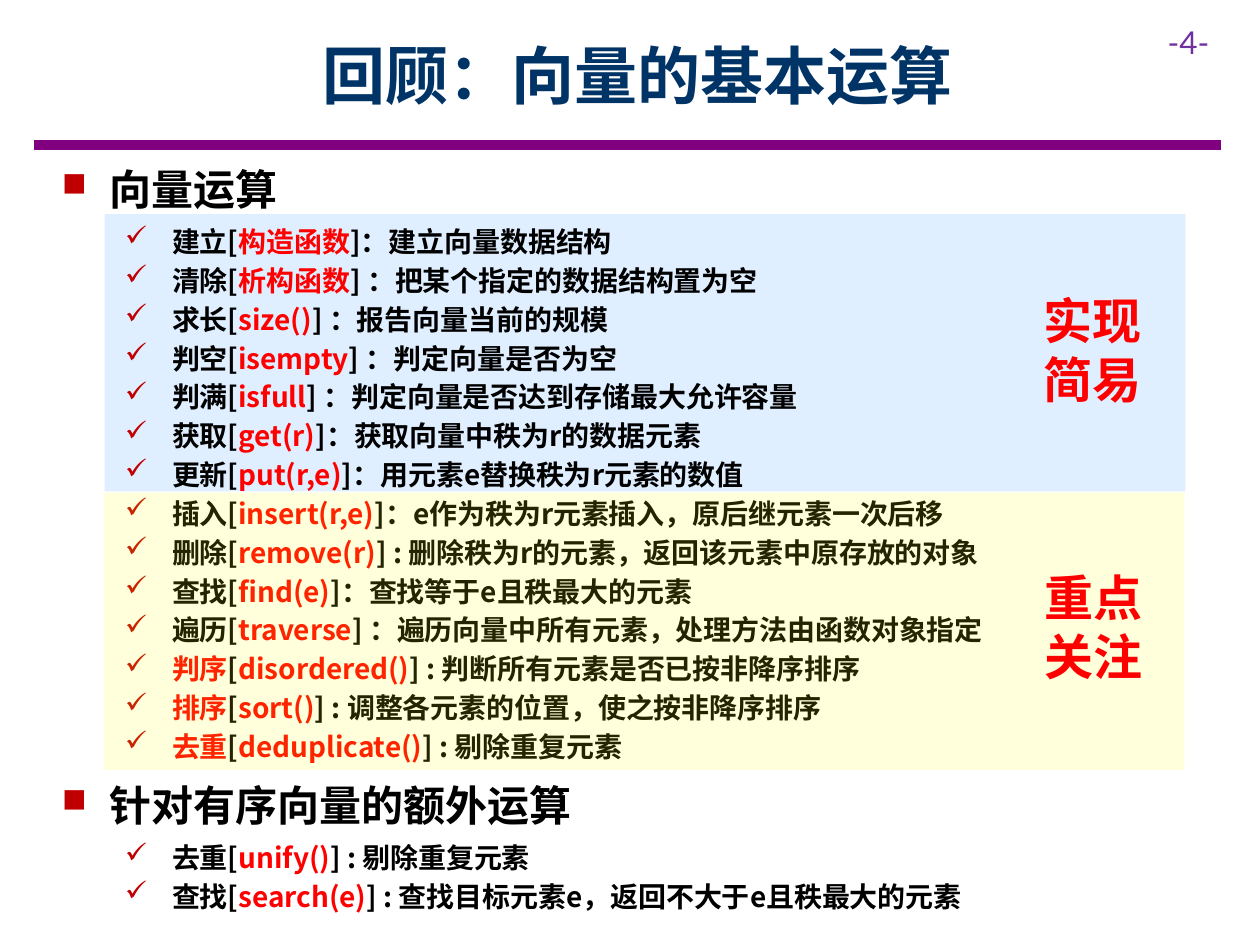
"""Build the review slide on basic vector operations."""
from dataclasses import dataclass

from lxml.etree import SubElement
from pptx import Presentation
from pptx.dml.color import RGBColor
from pptx.enum.shapes import MSO_CONNECTOR, MSO_SHAPE
from pptx.enum.text import MSO_ANCHOR, PP_ALIGN
from pptx.oxml.ns import qn
from pptx.util import Cm, Pt

COLORS = {
    "title": "003366", "rule": "800080", "page": "7030A0", "bullet": "C00000",
    "text": "000000", "hot": "FF0000", "easy": "99CCFF", "focus": "FFFF00",
    "white": "FFFFFF",
}
CJK, LATIN = "Noto Sans CJK SC", "Lato"


@dataclass
class Box:
    left: float
    top: float
    width: float
    height: float

    def emu(self) -> tuple:
        """Return the four lengths."""
        return Cm(self.left), Cm(self.top), Cm(self.width), Cm(self.height)


@dataclass
class Operation:
    name: str
    call: str
    note: str
    hot: bool = False


@dataclass
class Section:
    heading: str
    box: Box
    operations: list


@dataclass
class Band:
    box: Box
    color: str
    alpha: int


@dataclass
class Label:
    text: str
    box: Box


VECTOR = Section("向量运算", Box(1, 3.12, 24.4, 12.47), [
    Operation("建立", "构造函数", "]：建立向量数据结构"),
    Operation("清除", "析构函数", "] ：把某个指定的数据结构置为空"),
    Operation("求长", "size()", "] ：报告向量当前的规模"),
    Operation("判空", "isempty", "] ：判定向量是否为空"),
    Operation("判满", "isfull", "] ：判定向量是否达到存储最大允许容量"),
    Operation("获取", "get(r)", "]：获取向量中秩为r的数据元素"),
    Operation("更新", "put(r,e)", "]：用元素e替换秩为r元素的数值"),
    Operation("插入", "insert(r,e)", "]：e作为秩为r元素插入，原后继元素一次后移"),
    Operation("删除", "remove(r)", "] : 删除秩为r的元素，返回该元素中原存放的对象"),
    Operation("查找", "find(e)", "]：查找等于e且秩最大的元素"),
    Operation("遍历", "traverse", "] ：遍历向量中所有元素，处理方法由函数对象指定"),
    Operation("判序", "disordered()", "] : 判断所有元素是否已按非降序排序", True),
    Operation("排序", "sort()", "] : 调整各元素的位置，使之按非降序排序", True),
    Operation("去重", "deduplicate()", "] : 剔除重复元素", True),
])
ORDERED = Section("针对有序向量的额外运算", Box(1, 15.54, 24.4, 2.97), [
    Operation("去重", "unify()", "] : 剔除重复元素"),
    Operation("查找", "search(e)", "] : 查找目标元素e，返回不大于e且秩最大的元素"),
])
EASY = Band(Box(2.11, 4.32, 21.79, 5.59), "easy", 30)
FOCUS = Band(Box(2.09, 9.93, 21.79, 5.59), "focus", 14)
LABELS = [
    Label("实现简易", Box(20.78, 5.66, 2.59, 2.64)),
    Label("重点关注", Box(20.8, 11.25, 2.59, 2.64)),
]


def rgb(name: str) -> RGBColor:
    """Look up a colour."""
    return RGBColor.from_string(COLORS[name])


def add_run(p, text: str, size: float, color: str = "text",
            font: str = CJK, bold: bool = True) -> None:
    """Append one formatted run."""
    r = p.add_run()
    r.text = text
    r.font.size, r.font.bold, r.font.name = Pt(size), bold, font
    r.font.color.rgb = rgb(color)
    SubElement(r.font._element, qn("a:ea")).set("typeface", font)


def add_box(s, box: Box):
    """Add a wrapping text box and return its shape."""
    sp = s.shapes.add_textbox(*box.emu())
    sp.text_frame.word_wrap = True
    return sp


def set_bullet(p, char: str, indent: float, percent: int) -> None:
    """Give a paragraph a hanging symbol bullet."""
    pPr = p._p.get_or_add_pPr()
    pPr.set("marL", str(Cm(indent)))
    pPr.set("indent", str(-Cm(0.95)))
    clr = SubElement(pPr, qn("a:buClr"))
    SubElement(clr, qn("a:srgbClr")).set("val", COLORS["bullet"])
    SubElement(pPr, qn("a:buSzPct")).set("val", str(percent * 1000))
    SubElement(pPr, qn("a:buFont")).set("typeface", "Wingdings")
    SubElement(pPr, qn("a:buChar")).set("char", char)


def set_spacing(p, size: float, after: float = 0) -> None:
    """Set the line pitch and the gap below a paragraph."""
    p.line_spacing, p.space_after = Pt(size * 1.2), Pt(after)


def add_section(s, section: Section, filled: bool = False) -> None:
    """Add a heading with its list of operations."""
    sp = add_box(s, section.box)
    if filled:
        sp.fill.solid()
        sp.fill.fore_color.rgb = rgb("white")
    tf = sp.text_frame
    tf.margin_top = Cm(0.18)
    p = tf.paragraphs[0]
    set_bullet(p, "n", 0.95, 80)
    set_spacing(p, 24, 6)
    add_run(p, section.heading, 24)
    for op in section.operations:
        p = tf.add_paragraph()
        p.level = 1
        set_bullet(p, "ü", 2.22, 100)
        set_spacing(p, 16, 3)
        if op.hot:
            add_run(p, op.name, 16, "hot")
            add_run(p, "[", 16)
        else:
            add_run(p, op.name + "[", 16)
        add_run(p, op.call, 16, "hot")
        add_run(p, op.note, 16)


def add_band(s, band: Band) -> None:
    """Add a translucent rectangle."""
    sp = s.shapes.add_shape(MSO_SHAPE.RECTANGLE, *band.box.emu())
    sp.shadow.inherit = False
    sp.line.fill.background()
    sp.fill.solid()
    sp.fill.fore_color.rgb = rgb(band.color)
    clr = sp._element.spPr.find(".//" + qn("a:srgbClr"))
    SubElement(clr, qn("a:alpha")).set("val", str(band.alpha * 1000))


def add_label(s, label: Label) -> None:
    """Add a red side label."""
    tf = add_box(s, label.box).text_frame
    tf.margin_top = Cm(0.2)
    p = tf.paragraphs[0]
    set_spacing(p, 28)
    add_run(p, label.text, 28, "hot")


def add_header(s) -> None:
    """Add the rule and the page number."""
    rule = s.shapes.add_connector(
        MSO_CONNECTOR.STRAIGHT, Cm(0.69), Cm(2.92), Cm(24.61), Cm(2.92))
    rule.line.width = Pt(6)
    rule.line.color.rgb = rgb("rule")
    SubElement(rule._element.spPr, qn("a:effectLst"))
    tf = add_box(s, Box(23.29, 0.33, 2.11, 1.02)).text_frame
    add_run(tf.paragraphs[0], "-4-", 18, "page", LATIN, False)


def add_title(s) -> None:
    """Add the centred title."""
    tf = add_box(s, Box(2.29, 0.23, 21.11, 2.54)).text_frame
    tf.vertical_anchor = MSO_ANCHOR.MIDDLE
    p = tf.paragraphs[0]
    p.alignment = PP_ALIGN.CENTER
    add_run(p, "回顾：向量的基本运算", 36, "title")


def main() -> None:
    """Build and save the slide."""
    prs = Presentation()
    prs.slide_width, prs.slide_height = Cm(25.4), Cm(19.05)
    s = prs.slides.add_slide(prs.slide_layouts[6])
    add_header(s)
    add_band(s, EASY)
    add_section(s, VECTOR)
    add_band(s, FOCUS)
    add_title(s)
    add_section(s, ORDERED, filled=True)
    for label in LABELS:
        add_label(s, label)
    prs.save("out.pptx")


if __name__ == "__main__":
    main()
